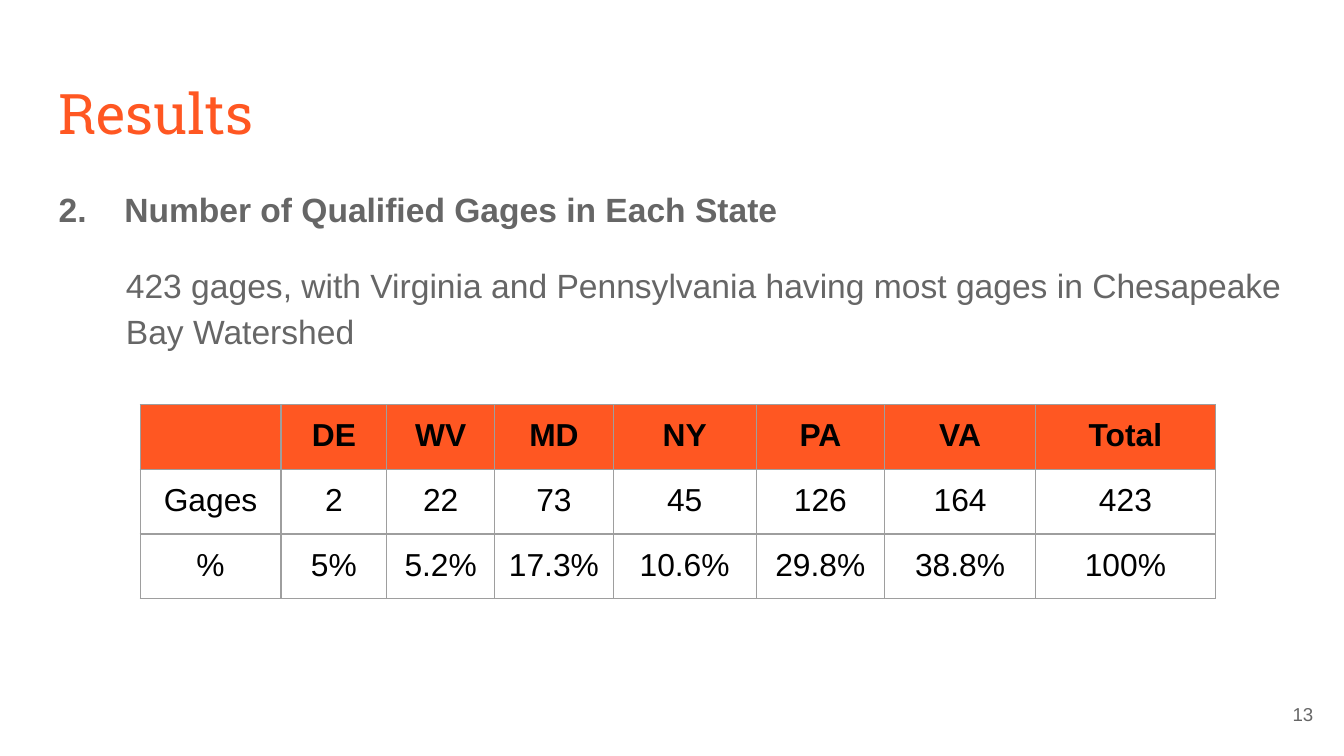
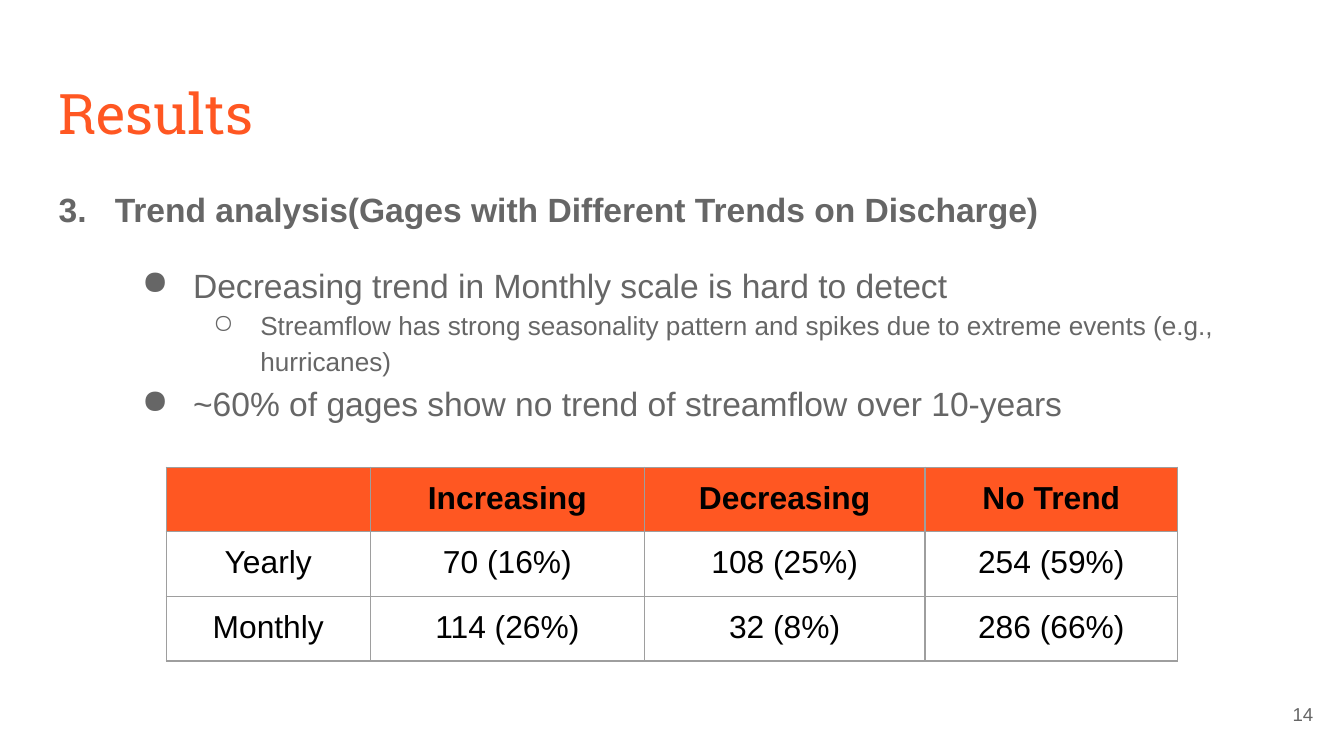
from dataclasses import dataclass

from lxml.etree import SubElement
from pptx import Presentation
from pptx.dml.color import RGBColor
from pptx.enum.text import MSO_ANCHOR as Anchor, PP_ALIGN as Align
from pptx.oxml.ns import qn
from pptx.util import Cm, Pt


@dataclass(frozen=True)
class Theme:
    accent: str = "FF5722"
    grey: str = "666666"
    black: str = "000000"
    border: str = "9E9E9E"
    heading_font: str = "Roboto Slab"
    text_font: str = "Arial"
    title_size: int = 30
    body_size: int = 18
    detail_size: int = 14
    table_size: int = 17
    number_size: int = 10
    line_spacing: float = 1.15
    border_width: float = 0.75


THEME = Theme()
INSET = Cm(0.25)
TITLE_AREA = (0.86, 1.24, 23.67, 1.6)
BODY_AREA = (0.86, 3.2, 23.67, 9.5)
NUMBER_AREA = (23.55, 12.95, 1.52, 1.09)
ROW_HEIGHTS = (1.22, 1.19, 1.19)

LEVELS = {
    "plain": dict(margin=1.27, hang=0, bullet=None, size=THEME.body_size),
    "point": dict(margin=2.54, hang=0.97, bullet="●", size=THEME.body_size),
    "detail": dict(margin=3.81, hang=0.89, bullet="○", size=THEME.detail_size),
}

SLIDES = [
    dict(
        number=13,
        heading=("2.", "Number of Qualified Gages in Each State"),
        heading_tab=1.24,
        body=[
            ("plain", "423 gages, with Virginia and Pennsylvania having most gages "
                      "in Chesapeake Bay Watershed"),
        ],
        table_at=(2.65, 7.65),
        columns=(2.66, 2, 2.04, 2.24, 2.7, 2.43, 2.85, 3.4),
        rows=[
            ("", "DE", "WV", "MD", "NY", "PA", "VA", "Total"),
            ("Gages", "2", "22", "73", "45", "126", "164", "423"),
            ("%", "5%", "5.2%", "17.3%", "10.6%", "29.8%", "38.8%", "100%"),
        ],
    ),
    dict(
        number=14,
        heading=("3.", "Trend analysis(Gages with Different Trends on Discharge)"),
        heading_tab=1.06,
        body=[
            ("point", "Decreasing trend in Monthly scale is hard to detect"),
            ("detail", "Streamflow has strong seasonality pattern and spikes due to "
                       "extreme events (e.g., hurricanes)"),
            ("point", "~60% of gages show no trend of streamflow over 10-years"),
        ],
        table_at=(3.14, 8.83),
        columns=(3.86, 5.18, 5.3, 4.78),
        rows=[
            ("", "Increasing", "Decreasing", "No Trend"),
            ("Yearly", "70 (16%)", "108 (25%)", "254 (59%)"),
            ("Monthly", "114 (26%)", "32 (8%)", "286 (66%)"),
        ],
    ),
]


def style(para, size, color, font=THEME.text_font, bold=False):
    para.font.name = font
    para.font.size = Pt(size)
    para.font.bold = bold
    para.font.color.rgb = RGBColor.from_string(color)


def set_insets(holder):
    holder.margin_left = holder.margin_right = INSET
    holder.margin_top = holder.margin_bottom = INSET


def add_box(page, area, anchor=Anchor.TOP):
    frame = page.shapes.add_textbox(*map(Cm, area)).text_frame
    frame.word_wrap = True
    frame.vertical_anchor = anchor
    set_insets(frame)
    return frame


def add_color(parent, color):
    SubElement(parent, qn("a:srgbClr"), val=color)


def add_body(page, heading, heading_tab, body):
    frame = add_box(page, BODY_AREA)
    para = frame.paragraphs[0]
    para.text = "\t".join(heading)
    tabs = SubElement(para._p.get_or_add_pPr(), qn("a:tabLst"))
    SubElement(tabs, qn("a:tab"), pos=str(Cm(heading_tab)), algn="l")
    para.line_spacing = THEME.line_spacing
    style(para, THEME.body_size, THEME.grey, bold=True)

    for index, (kind, text) in enumerate(body):
        level = LEVELS[kind]
        para = frame.add_paragraph()
        para.text = text
        para.level = int(kind == "detail")
        props = para._p.get_or_add_pPr()
        props.set("marL", str(Cm(level["margin"])))
        props.set("indent", str(-Cm(level["hang"])))
        if level["bullet"]:
            add_color(SubElement(props, qn("a:buClr")), THEME.grey)
            SubElement(props, qn("a:buChar"), char=level["bullet"])
        para.line_spacing = THEME.line_spacing
        para.space_before = Pt(0 if index else 16)
        style(para, level["size"], THEME.grey)


def add_borders(cell):
    props = cell._tc.get_or_add_tcPr()
    for side in ("lnL", "lnR", "lnT", "lnB"):
        line = SubElement(props, qn(f"a:{side}"), w=str(Pt(THEME.border_width)))
        add_color(SubElement(line, qn("a:solidFill")), THEME.border)


def add_table(page, table_at, columns, rows):
    left, top = table_at
    area = (left, top, sum(columns), sum(ROW_HEIGHTS))
    table = page.shapes.add_table(len(rows), len(columns), *map(Cm, area)).table
    table.first_row = table.horz_banding = False
    for column, width in zip(table.columns, columns):
        column.width = Cm(width)
    for row_index, (row, height, texts) in enumerate(zip(table.rows, ROW_HEIGHTS, rows)):
        row.height = Cm(height)
        is_header = row_index == 0
        for cell, text in zip(row.cells, texts):
            set_insets(cell)
            add_borders(cell)
            if is_header:
                cell.fill.solid()
                cell.fill.fore_color.rgb = RGBColor.from_string(THEME.accent)
            else:
                cell.fill.background()
            para = cell.text_frame.paragraphs[0]
            para.text = text
            para.alignment = Align.CENTER
            style(para, THEME.table_size, THEME.black, bold=is_header)


def add_page(deck, content):
    page = deck.slides.add_slide(deck.slide_layouts[6])
    title = add_box(page, TITLE_AREA).paragraphs[0]
    title.text = "Results"
    style(title, THEME.title_size, THEME.accent, THEME.heading_font)
    add_body(page, content["heading"], content["heading_tab"], content["body"])
    add_table(page, content["table_at"], content["columns"], content["rows"])
    number = add_box(page, NUMBER_AREA, Anchor.MIDDLE).paragraphs[0]
    number.text = str(content["number"])
    number.alignment = Align.RIGHT
    style(number, THEME.number_size, THEME.grey)


def main():
    deck = Presentation()
    deck.slide_width, deck.slide_height = Cm(25.4), Cm(14.29)
    for content in SLIDES:
        add_page(deck, content)
    deck.save("out.pptx")


if __name__ == "__main__":
    main()
